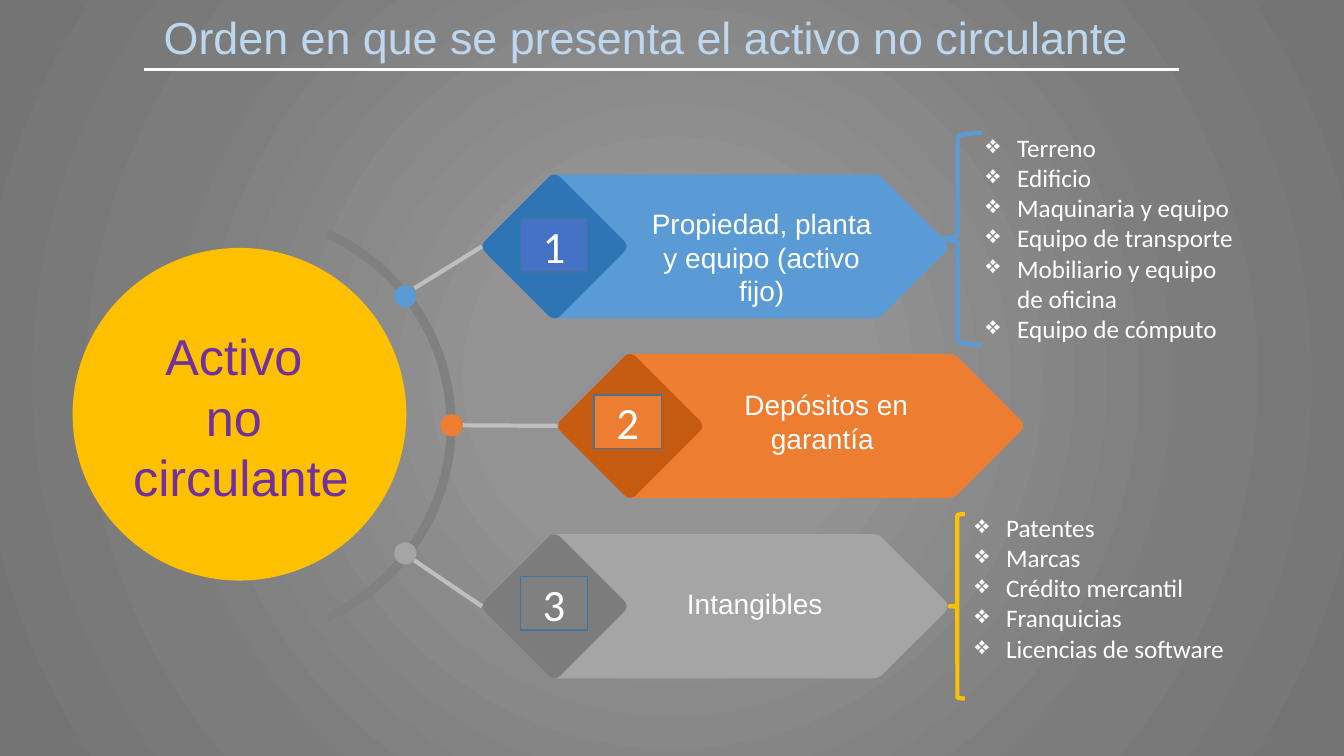
import math

import lxml.etree
import pptx
import pptx.dml.color
import pptx.enum.shapes
import pptx.enum.text
import pptx.oxml
import pptx.oxml.ns
import pptx.util

Inches = pptx.util.Inches
Pt = pptx.util.Pt
qn = pptx.oxml.ns.qn
SHAPES = pptx.enum.shapes.MSO_SHAPE
CENTER = pptx.enum.text.PP_ALIGN.CENTER
LEFT = pptx.enum.text.PP_ALIGN.LEFT

COLORS = {
    "white": "FFFFFF", "title": "BDD7EE", "purple": "7030A0", "gold": "FFC000",
    "blue": "5B9BD5", "dark_blue": "2E75B6", "number_blue": "4472C4",
    "orange": "ED7D31", "dark_orange": "C55A11",
    "gray": "A5A5A5", "dark_gray": "7C7C7C", "arc": "808080",
    "link": "BFBFBF", "border": "43739E",
}
BACKGROUND_STOPS = [(0, "939393"), (23, "939393"), (69, "7C7C7C"), (97, "747474")]

ROWS = [
    dict(number="1", label="Propiedad, planta y equipo (activo fijo)", box=(4.78, 1.73, 4.62, 1.43),
         dot=(4.02, 2.94), link=(4.11, 2.86), label_offset=(1.48, 0.27), label_height=0.77,
         number_offset=(0.38, 0.44), fill="blue", dark="dark_blue", number_fill="number_blue"),
    dict(number="2", label="Depósitos en garantía ", box=(5.53, 3.51, 4.62, 1.43),
         dot=(4.48, 4.22), link=(4.59, 4.22), label_offset=(1.37, 0.29), label_height=0.77,
         number_offset=(0.36, 0.41), fill="orange", dark="dark_orange", number_fill="orange"),
    dict(number="3", label="Intangibles ", box=(4.78, 5.3, 4.62, 1.43),
         dot=(4.02, 5.49), link=(4.11, 5.56), label_offset=(1.45, 0.47), label_height=0.44,
         number_offset=(0.38, 0.42), fill="gray", dark="dark_gray", number_fill="arc"),
]
LISTS = [
    dict(brace=(9.26, 1.32, 0.48, 2.1), box=(9.68, 1.26, 2.69, 2.22), color="blue",
         items=["Terreno", "Edificio", "Maquinaria y equipo", "Equipo de transporte",
                "Mobiliario y equipo de oficina", "Equipo de cómputo"]),
    dict(brace=(9.42, 5.1, 0.15, 1.83), box=(9.57, 5.03, 2.69, 1.92), color="gold",
         items=["Patentes", "Marcas", "Crédito mercantil", "Franquicias", "Licencias de software"]),
]


def color(name):
    """Return the named color as an RGB value."""
    return pptx.dml.color.RGBColor.from_string(COLORS[name])


def style(shape, fill=None, line=None, width=1):
    """Set fill and outline of a shape and remove its shadow."""
    shape.shadow.inherit = False
    if fill:
        shape.fill.solid()
        shape.fill.fore_color.rgb = color(fill)
    else:
        shape.fill.background()
    if line:
        shape.line.color.rgb = color(line)
        shape.line.width = Pt(width)
    else:
        shape.line.fill.background()
    return shape


def add_preset(slide, kind, box, **look):
    """Add a styled preset shape in a box given in inches."""
    return style(slide.shapes.add_shape(kind, *map(Inches, box)), **look)


def add_outline(slide, points, fill):
    """Add a filled closed outline through points given in inches."""
    points = [(Inches(x), Inches(y)) for x, y in points]
    builder = slide.shapes.build_freeform(*points[0], scale=1.0)
    builder.add_line_segments(points[1:], close=True)
    return style(builder.convert_to_shape(), fill=fill)


def rounded(corners, steps=6):
    """Return outline points for corners (x, y, cut), each rounded by its cut length."""
    points = []
    for index, (x, y, cut) in enumerate(corners):
        if not cut:
            points.append((x, y))
            continue
        ends = []
        for other in (corners[index - 1], corners[(index + 1) % len(corners)]):
            share = cut / math.dist((x, y), other[:2])
            ends.append((x + (other[0] - x) * share, y + (other[1] - y) * share))
        (ax, ay), (bx, by) = ends
        for step in range(steps + 1):
            t = step / steps
            points.append(((1 - t) ** 2 * ax + 2 * t * (1 - t) * x + t * t * bx,
                           (1 - t) ** 2 * ay + 2 * t * (1 - t) * y + t * t * by))
    return points


def add_line(slide, start, end, line, width):
    """Add a straight connector without shadow."""
    connector = slide.shapes.add_connector(
        pptx.enum.shapes.MSO_CONNECTOR.STRAIGHT, *map(Inches, start + end))
    connector.line.color.rgb = color(line)
    connector.line.width = Pt(width)
    lxml.etree.SubElement(connector._element.spPr, qn("a:effectLst"))


def write(frame, text, size=18, font="Arial", ink="white", align=CENTER, bullet=None):
    """Write each line of text as a formatted paragraph."""
    for index, line in enumerate(text.split("\n")):
        paragraph = frame.add_paragraph() if index else frame.paragraphs[0]
        paragraph.alignment = align
        if bullet:
            properties = paragraph._p.get_or_add_pPr()
            properties.set("marL", str(Inches(0.31)))
            properties.set("indent", str(-Inches(0.31)))
            lxml.etree.SubElement(properties, qn("a:buChar")).set("char", bullet)
        run = paragraph.add_run()
        run.text = line
        run.font.size = Pt(size)
        run.font.name = font
        run.font.color.rgb = color(ink)


def add_text(slide, text, box, wrap=True, **look):
    """Add a text box that grows with its text."""
    frame = slide.shapes.add_textbox(*map(Inches, box)).text_frame
    frame.word_wrap = wrap
    frame.auto_size = pptx.enum.text.MSO_AUTO_SIZE.SHAPE_TO_FIT_TEXT
    write(frame, text, **look)


def draw_background(slide):
    """Fill the background with a circular gray gradient."""
    slide.background.fill.solid()
    solid = slide.background._cSld.bg.bgPr.find(qn("a:solidFill"))
    stops = "".join(f'<a:gs pos="{position * 1000}"><a:srgbClr val="{value}"/></a:gs>'
                    for position, value in BACKGROUND_STOPS)
    gradient = pptx.oxml.parse_xml(
        '<a:gradFill xmlns:a="http://schemas.openxmlformats.org/drawingml/2006/main" '
        f'rotWithShape="1"><a:gsLst>{stops}</a:gsLst><a:path path="circle">'
        '<a:fillToRect l="50000" t="50000" r="50000" b="50000"/></a:path></a:gradFill>')
    solid.getparent().replace(solid, gradient)


def draw_title(slide, box):
    """Draw the title and the rule below it."""
    left, top, width, height = box
    add_text(slide, "Orden en que se presenta el activo no circulante", box,
             wrap=False, size=32, ink="title")
    rule = top + height
    add_line(slide, (left - 0.06, rule), (left + width + 0.36, rule), "white", 1.5)


def draw_hub(slide, box):
    """Draw the main circle and the arc to its right."""
    left, top, width, height = box
    center_x, center_y = left + 1.67, top + 1.76
    points = []
    for radius, limit, sign in ((2.13, 66.3, 1), (2.04, 65.1, -1)):
        for step in range(-30, 31):
            angle = math.radians(sign * step * limit / 30)
            points.append((center_x + radius * math.cos(angle), center_y + radius * math.sin(angle)))
    add_outline(slide, points, "arc")
    add_preset(slide, SHAPES.OVAL, box, fill="gold")
    add_text(slide, "Activo \nno \ncirculante", (left + 0.49, top + 0.72, 2.36, 1.92),
             wrap=False, size=36, ink="purple")


def draw_row(slide, box, row):
    """Draw a dot, its link and a numbered banner."""
    left, top, width, height = box
    x, y, half = left + 0.72, top + height / 2, height / 2
    dot_x, dot_y = row["dot"]
    add_preset(slide, SHAPES.OVAL, (dot_x - 0.11, dot_y - 0.11, 0.22, 0.22), fill=row["fill"])
    tip = left + width + 0.03
    banner = [(x, top, 0), (tip - half, top, 0.06), (tip, y, 0.09),
              (tip - half, top + height, 0.06), (x, top + height, 0)]
    add_outline(slide, rounded(banner), row["fill"])
    reach = half + 0.03
    diamond = [(x, y - reach, 0.09), (x + reach, y, 0.09), (x, y + reach, 0.09), (x - reach, y, 0.09)]
    add_outline(slide, rounded(diamond), row["dark"])
    add_line(slide, row["link"], (left, y), "link", 3)
    label_x, label_y = row["label_offset"]
    add_text(slide, row["label"], (left + label_x, top + label_y, 2.59, row["label_height"]), size=20)
    number_x, number_y = row["number_offset"]
    number = add_preset(slide, SHAPES.RECTANGLE, (left + number_x, top + number_y, 0.67, 0.53),
                        fill=row["number_fill"], line="border")
    number.text_frame.vertical_anchor = pptx.enum.text.MSO_ANCHOR.MIDDLE
    write(number.text_frame, row["number"], size=32, font="Calibri")


def draw_list(slide, box, group):
    """Draw a brace and its bulleted list."""
    add_preset(slide, SHAPES.LEFT_BRACE, group["brace"], line=group["color"], width=3)
    add_text(slide, "\n".join(group["items"]), box, font="Calibri", align=LEFT, bullet="❖")


def main():
    """Build the slide and save it."""
    presentation = pptx.Presentation()
    presentation.slide_width, presentation.slide_height = Inches(13.33), Inches(7.5)
    slide = presentation.slides.add_slide(presentation.slide_layouts[6])
    draw_background(slide)
    for group in LISTS:
        draw_list(slide, group["box"], group)
    draw_hub(slide, (0.72, 2.46, 3.31, 3.3))
    for row in ROWS:
        draw_row(slide, row["box"], row)
    draw_title(slide, (1.49, 0.05, 9.84, 0.64))
    presentation.save("out.pptx")


if __name__ == "__main__":
    main()
